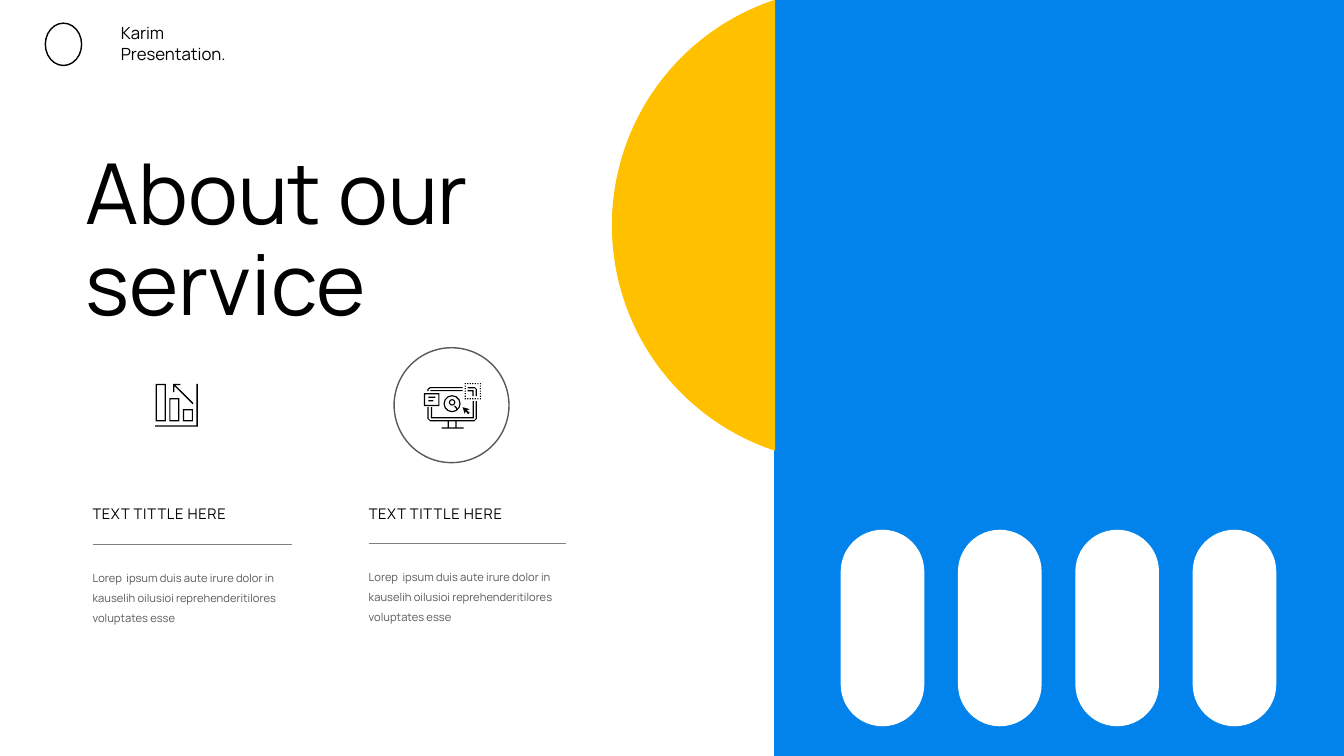
from lxml import etree
from pptx import Presentation
from pptx import util as u
from pptx.dml.color import RGBColor
from pptx.enum import shapes, text
from pptx.oxml import ns

BLUE = RGBColor(0x02, 0x83, 0xEB)
YELLOW = RGBColor(0xFF, 0xC0, 0x00)
WHITE = RGBColor(0xFF, 0xFF, 0xFF)
BLACK = RGBColor(0x00, 0x00, 0x00)
DARK = RGBColor(0x59, 0x59, 0x59)
GREY = RGBColor(0x80, 0x80, 0x80)
SHAPE = shapes.MSO_SHAPE
COLS, ROWS = 133.33, 75


class Deck:
    """Draws styled elements on one slide, on a grid of tenth-of-an-inch cells."""

    def __init__(self):
        self.font = "Manrope"
        self.prs = Presentation()
        self.prs.slide_width = self.cells(COLS)
        self.prs.slide_height = self.cells(ROWS)
        self.s = self.prs.slides.add_slide(self.prs.slide_layouts[6])
        self.target = self.s.shapes

    def cells(self, n):
        return u.Inches(n / 10)

    def group(self):
        self.target = self.s.shapes.add_group_shape().shapes

    def ungroup(self):
        self.target = self.s.shapes

    def paint(self, sp, fill, line=None, width=1):
        sp.shadow.inherit = False
        if fill is None:
            sp.fill.background()
        else:
            sp.fill.solid()
            sp.fill.fore_color.rgb = fill
        if line is None:
            sp.line.fill.background()
        else:
            sp.line.color.rgb = line
            sp.line.width = u.Pt(width)
        return sp

    def shape(self, kind, box, fill=BLACK, line=None, adj=()):
        sp = self.target.add_shape(kind, *map(self.cells, box))
        for i, value in enumerate(adj):
            sp.adjustments[i] = value
        return self.paint(sp, fill, line)

    def outline(self, *contours):
        builder = None
        for contour in contours:
            pts = [(self.cells(x), self.cells(y)) for x, y in contour]
            if builder is None:
                builder = self.target.build_freeform(*pts[0])
            else:
                builder.move_to(*pts[0])
            builder.add_line_segments(pts[1:], close=True)
        return self.paint(builder.convert_to_shape(), BLACK)

    def frame(self, x, y, w, h, t=0.12):
        return self.shape(SHAPE.FRAME, (x, y, w, h), adj=[t / min(w, h)])

    def rule(self, x1, x2, y):
        ends = map(self.cells, (x1, y, x2, y))
        cx = self.target.add_connector(shapes.MSO_CONNECTOR.STRAIGHT, *ends)
        cx.line.color.rgb = GREY
        cx.line.width = u.Pt(0.5)
        etree.SubElement(cx._element.spPr, ns.qn("a:effectLst"))

    def text(self, box, lines, size, color=BLACK, spacing=None, tracking=0, wrap=True):
        tf = self.target.add_textbox(*map(self.cells, box)).text_frame
        frame = dict(word_wrap=wrap, auto_size=text.MSO_AUTO_SIZE.SHAPE_TO_FIT_TEXT)
        for key, value in frame.items():
            setattr(tf, key, value)
        for i, line in enumerate(lines):
            p = tf.add_paragraph() if i else tf.paragraphs[0]
            p.line_spacing = spacing
            r = p.add_run()
            r.text = line
            for key, value in dict(name=self.font, size=u.Pt(size)).items():
                setattr(r.font, key, value)
            r.font.color.rgb = color
            if tracking:
                r._r.get_or_add_rPr().set("spc", str(int(tracking * 100)))


def backdrop(d):
    d.shape(SHAPE.RECTANGLE, (76.8, 0, COLS - 76.8, ROWS), BLUE)
    d.shape(SHAPE.CHORD, (60.7, -1.2, 47.1, 47.1), YELLOW,
            adj=[angle * 0.6 for angle in (108.2, 251.8)])
    for i in range(4):
        d.shape(SHAPE.ROUNDED_RECTANGLE, (83.4 + 11.64 * i, 52.55, 8.3, 19.5),
                WHITE, adj=[0.5])


def monitor_icon(d):
    d.shape(SHAPE.OVAL, (39.1, 34.5, 11.4, 11.4), None, DARK)
    d.group()
    for col in range(7):
        for row in range(7):
            if {col, row} & {0, 6}:
                d.shape(SHAPE.RECTANGLE,
                        (46.1 + 0.25 * col, 38 + 0.25 * row, 0.12, 0.12))
    for box in ((42.7, 38.7, 3.2, 0.12), (42.5, 39.35, 0.7, 0.12),
                (42.5, 39.7, 0.5, 0.12)):
        d.shape(SHAPE.RECTANGLE, box)
    d.outline([(46.4, 38.7), (47, 38.7), (47, 39.3), (46.88, 39.3),
               (46.88, 38.82), (46.4, 38.82)])
    d.outline([(46.4, 38.4), (47.1, 38.4), (47.3, 38.6), (47.3, 39.3),
               (47.18, 39.3), (47.18, 38.6), (47.1, 38.52), (46.4, 38.52)])
    d.outline([(42.4, 38.8), (42.4, 38.6), (42.65, 38.4), (45.9, 38.4),
               (45.9, 38.52), (42.7, 38.52), (42.52, 38.65), (42.52, 38.8)])
    d.outline([(42.75, 40.4), (42.87, 40.4), (42.87, 41.38), (46.88, 41.38),
               (46.88, 39.8), (47, 39.8), (47, 41.5), (42.75, 41.5)])
    d.outline([(42.4, 40.4), (42.52, 40.4), (42.52, 41.55), (42.7, 41.68),
               (47.05, 41.68), (47.18, 41.55), (47.18, 39.8), (47.3, 39.8),
               (47.3, 41.55), (47.05, 41.8), (45.3, 41.8), (45.3, 42.4),
               (46, 42.4), (46, 42.52), (43.8, 42.52), (43.8, 42.4),
               (44.4, 42.4), (44.4, 41.8), (42.7, 41.8), (42.4, 41.55)],
              [(44.53, 41.8), (44.53, 42.4), (45.18, 42.4), (45.18, 41.8)])
    d.frame(42.05, 39, 1.55, 1.3)
    d.shape(SHAPE.DONUT, (44, 39.2, 1.7, 1.7), adj=[0.07])
    d.shape(SHAPE.DONUT, (44.53, 39.6, 0.64, 0.64), adj=[0.18])
    d.shape(SHAPE.BLOCK_ARC, (44.3, 40.15, 1.1, 1.1), adj=[180, 0, 0.11])
    d.outline([(45.9, 40.4), (46.6, 40.6), (46.3, 40.7), (46.6, 40.95),
               (46.45, 41.1), (46.2, 40.8), (46.1, 41.05)])
    d.ungroup()


def chart_icon(d):
    d.group()
    d.outline([(15.4, 42.2), (19.5, 42.2), (19.5, 38.1), (19.63, 38.1),
               (19.63, 42.32), (15.4, 42.32)])
    for i, top in enumerate((38.1, 39.5, 40.6)):
        d.frame(15.45 + 1.35 * i, top, 1, 41.8 - top)
    d.outline([(19.1, 40.1), (17.3, 38.3), (17.3, 38.9), (17.18, 38.9),
               (17.18, 38.1), (17.9, 38.1), (17.9, 38.22), (17.4, 38.22),
               (19.2, 40)])
    d.ungroup()


def service(d, x, rule_length, top):
    body = ("Lorep  ipsum duis aute irure dolor in kauselih oilusioi "
            "reprehenderitilores voluptates esse")
    d.text((x, top + 1.5, 23, 6.9), [body], 8, DARK, spacing=1.5)
    d.text((x, 49.6, 15.9, 2.9), ["TEXT TITTLE HERE"], 10.5, tracking=0.5)
    d.rule(x + 1, x + 1 + rule_length, top)


def main():
    d = Deck()
    backdrop(d)
    monitor_icon(d)
    chart_icon(d)
    service(d, 8.2, 19.8, 54)
    service(d, 35.6, 19.6, 53.9)
    d.text((7.5, 14.6, 44.1, 19.3), ["About our", "service"], 60,
           spacing=0.9, wrap=False)
    d.text((11, 1.8, 13.1, 5), ["Karim", "Presentation."], 12)
    d.shape(SHAPE.OVAL, (4.5, 2.3, 3.6, 4.2), None, BLACK)
    d.prs.save("out.pptx")


if __name__ == "__main__":
    main()
